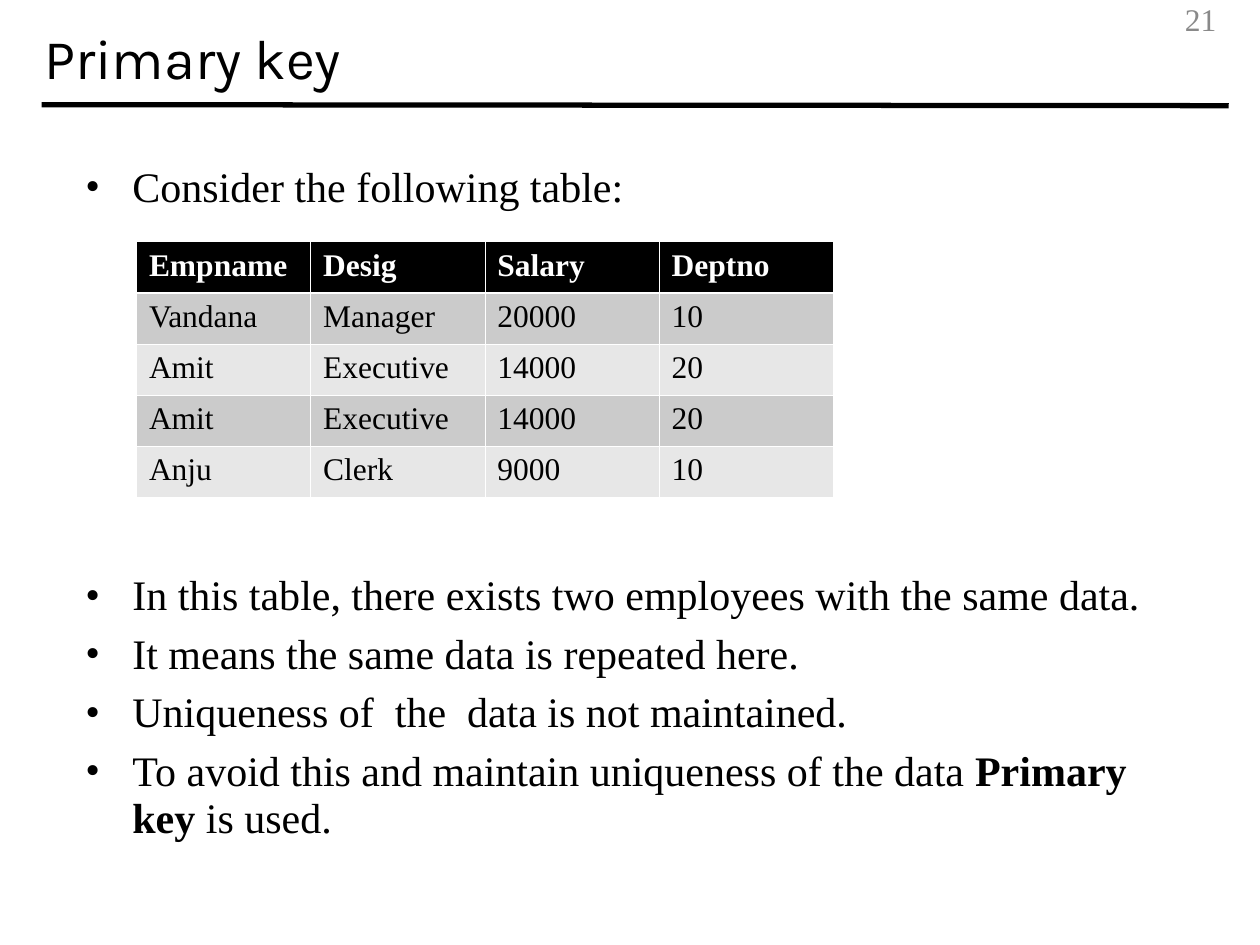
from lxml import etree
from pptx import Presentation
from pptx.dml.color import RGBColor
from pptx.enum.shapes import MSO_CONNECTOR
from pptx.enum.text import MSO_ANCHOR, PP_ALIGN
from pptx.oxml.ns import qn
from pptx.util import Cm, Pt

BLACK = RGBColor(0x00, 0x00, 0x00)
WHITE = RGBColor(0xFF, 0xFF, 0xFF)
GREY = RGBColor(0x89, 0x89, 0x89)
DARK_BAND = RGBColor(0xCB, 0xCB, 0xCB)
LIGHT_BAND = RGBColor(0xE7, 0xE7, 0xE7)
STRAIGHT = MSO_CONNECTOR.STRAIGHT
MIDDLE, TOP = MSO_ANCHOR.MIDDLE, MSO_ANCHOR.TOP
LEFT, RIGHT = PP_ALIGN.LEFT, PP_ALIGN.RIGHT
SERIF = "Times New Roman"
HANGING = Cm(0.95)
THIN, THICK = Pt(0.45), Pt(1.47)

EMPLOYEES = [
    ["Empname", "Desig", "Salary", "Deptno"],
    ["Vandana", "Manager", "20000", "10"],
    ["Amit", "Executive", "14000", "20"],
    ["Amit", "Executive", "14000", "20"],
    ["Anju", "Clerk", "9000", "10"],
]
INTRODUCTION = [["Consider the following table:"]]
OBSERVATIONS = [
    ["In this table, there exists two employees with the same data."],
    ["It means the same data is repeated here."],
    ["Uniqueness of  the  data is not maintained."],
    ["To avoid this and maintain uniqueness of the data ", "Primary key", " is used."],
]


def write(paragraph, text, size=24, font=SERIF, color=BLACK, bold=False):
    """Append one formatted run to a paragraph."""
    run = paragraph.add_run()
    run.text = text
    run.font.size = Pt(size)
    run.font.name = font
    run.font.color.rgb = color
    run.font.bold = bold


def add_frame(slide, box, anchor=TOP):
    """Add a wrapping text box and return its text frame."""
    frame = slide.shapes.add_textbox(*box).text_frame
    frame.word_wrap = True
    frame.vertical_anchor = anchor
    return frame


def add_label(slide, box, text, align=LEFT, spacing=0.95, **style):
    """Add a single vertically centred line of text."""
    paragraph = add_frame(slide, box, MIDDLE).paragraphs[0]
    paragraph.alignment = align
    paragraph.line_spacing = spacing
    write(paragraph, text, **style)


def add_header(slide, box):
    """Add the title, its underline and the page number."""
    left, top, width, height = box
    rule = slide.shapes.add_connector(
        STRAIGHT, left + Cm(0.2), top + Cm(2.11), left + Cm(24.13), top + Cm(2.13))
    rule.line.color.rgb = BLACK
    rule.line.width = Pt(3)
    etree.SubElement(rule._element.spPr, qn("a:effectLst"))
    add_label(slide, box, "Primary key", spacing=1.01, size=32, font="Karla")
    number_width = Cm(5.28)
    number_box = (left + width - number_width, top, number_width, Cm(0.84))
    add_label(slide, number_box, "21", align=RIGHT, size=18, color=GREY)


def add_bullet(paragraph):
    """Give a paragraph a black round bullet with a hanging indent."""
    properties = paragraph._p.get_or_add_pPr()
    properties.set("marL", str(HANGING))
    properties.set("indent", str(-HANGING))
    bullet_color = etree.SubElement(properties, qn("a:buClr"))
    etree.SubElement(bullet_color, qn("a:srgbClr"), val=str(BLACK))
    etree.SubElement(properties, qn("a:buFont"), typeface=SERIF)
    etree.SubElement(properties, qn("a:buChar"), char="•")


def add_bullets(slide, box, points):
    """Add bulleted points, with every second part of a point in bold."""
    frame = add_frame(slide, box)
    for index, parts in enumerate(points):
        paragraph = frame.add_paragraph() if index else frame.paragraphs[0]
        paragraph.line_spacing = 0.95
        paragraph.space_before = Pt(6 if index else 0)
        add_bullet(paragraph)
        for position, part in enumerate(parts):
            write(paragraph, part, bold=position % 2 == 1)


def add_borders(cell, top, bottom):
    """Draw white borders around a table cell."""
    properties = cell._tc.get_or_add_tcPr()
    for side, width in (("L", THIN), ("R", THIN), ("T", top), ("B", bottom)):
        border = etree.SubElement(properties, qn(f"a:ln{side}"), w=str(width))
        fill = etree.SubElement(border, qn("a:solidFill"))
        etree.SubElement(fill, qn("a:srgbClr"), val=str(WHITE))


def add_employees(slide, box):
    """Add the employee table with a black header and grey bands."""
    table = slide.shapes.add_table(len(EMPLOYEES), len(EMPLOYEES[0]), *box).table
    for row, record in enumerate(EMPLOYEES):
        band = DARK_BAND if row % 2 else LIGHT_BAND
        for column, value in enumerate(record):
            cell = table.cell(row, column)
            add_borders(cell, THICK if row == 1 else THIN, THIN if row else THICK)
            cell.fill.solid()
            cell.fill.fore_color.rgb = band if row else BLACK
            write(cell.text_frame.paragraphs[0], value, size=18,
                  color=BLACK if row else WHITE, bold=row == 0)


def main():
    """Build the slide and save it."""
    presentation = Presentation()
    presentation.slide_width, presentation.slide_height = Cm(25.4), Cm(19.05)
    slide = presentation.slides.add_slide(presentation.slide_layouts[6])
    add_header(slide, (Cm(0.64), Cm(0), Cm(24.13), Cm(2.31)))
    add_bullets(slide, (Cm(1.47), Cm(3.18), Cm(22.43), Cm(1.4)), INTRODUCTION)
    add_employees(slide, (Cm(2.75), Cm(4.87), Cm(14.05), Cm(5.16)))
    add_bullets(slide, (Cm(1.47), Cm(11.42), Cm(22.43), Cm(6.57)), OBSERVATIONS)
    presentation.save("out.pptx")


if __name__ == "__main__":
    main()
